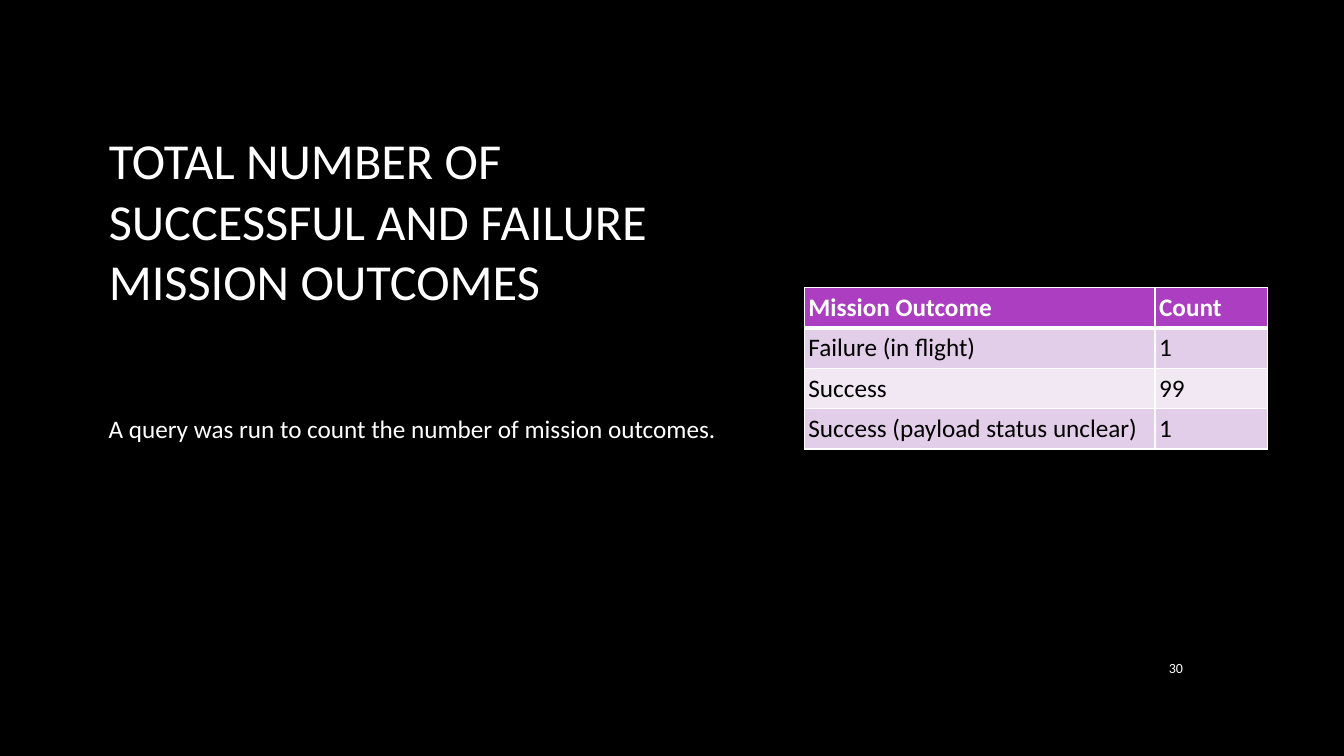
from lxml import etree
from pptx import Presentation
from pptx.dml.color import RGBColor
from pptx.enum import text
from pptx.oxml import ns
from pptx.util import Pt

WHITE, BLACK = "FFFFFF", "000000"
PURPLE, LILAC, PALE = "AC3EC1", "E3CEE9", "F1E8F4"


def rgb(hex_color):
    return RGBColor.from_string(hex_color)


class SlideBuilder:
    font_name = "Calibri"

    def __init__(self, deck):
        self.slide = deck.slides.add_slide(deck.slide_layouts[5])
        self.slide.background.fill.solid()
        self.slide.background.fill.fore_color.rgb = rgb(BLACK)

    def style(self, paragraph, size, color=WHITE, bold=False):
        font = paragraph.font
        font.name, font.size, font.bold = self.font_name, Pt(size), bold
        font.color.rgb = rgb(color)

    def fill_frame(self, frame, words, size, anchor, align):
        frame.word_wrap = True
        frame.auto_size = text.MSO_AUTO_SIZE.NONE
        frame.vertical_anchor = anchor
        frame.text = words
        paragraph = frame.paragraphs[0]
        paragraph.alignment = align
        self.style(paragraph, size)

    def title(self, words, left, top, width, height, size, bottom_inset):
        heading = self.slide.shapes.title
        heading.left, heading.top = Pt(left), Pt(top)
        heading.width, heading.height = Pt(width), Pt(height)
        self.fill_frame(heading.text_frame, words, size,
                        text.MSO_ANCHOR.BOTTOM, text.PP_ALIGN.LEFT)
        heading.text_frame.margin_bottom = Pt(bottom_inset)

    def label(self, words, left, top, width, height, size,
              align=text.PP_ALIGN.LEFT, space_after=0):
        box = self.slide.shapes.add_textbox(Pt(left), Pt(top), Pt(width), Pt(height))
        self.fill_frame(box.text_frame, words, size, text.MSO_ANCHOR.MIDDLE, align)
        box.text_frame.paragraphs[0].space_after = Pt(space_after)

    def borders(self, cell, top, bottom):
        """Draw white cell borders; top and bottom are widths in points."""
        properties = cell._tc.get_or_add_tcPr()
        sides = {"lnL": 1, "lnR": 1, "lnT": top, "lnB": bottom}
        for position, (side, width) in enumerate(sides.items()):
            line = etree.Element(ns.qn(f"a:{side}"), w=str(Pt(width)))
            paint = etree.SubElement(line, ns.qn("a:solidFill"))
            etree.SubElement(paint, ns.qn("a:srgbClr"), val=WHITE)
            properties.insert(position, line)

    def table(self, rows, left, top, column_widths, row_height, size, inset):
        grid = self.slide.shapes.add_table(
            len(rows), len(column_widths), Pt(left), Pt(top),
            Pt(sum(column_widths)), Pt(row_height * len(rows))).table
        for column, width in zip(grid.columns, column_widths):
            column.width = Pt(width)
        for r, values in enumerate(rows):
            grid.rows[r].height = Pt(row_height)
            header = r == 0
            shade = PURPLE if header else LILAC if r % 2 else PALE
            for c, value in enumerate(values):
                cell = grid.cell(r, c)
                cell.text = value
                cell.vertical_anchor = text.MSO_ANCHOR.MIDDLE
                cell.margin_left = cell.margin_right = Pt(inset)
                cell.margin_top = cell.margin_bottom = Pt(inset)
                cell.fill.solid()
                cell.fill.fore_color.rgb = rgb(shade)
                self.style(cell.text_frame.paragraphs[0], size,
                           WHITE if header else BLACK, header)
                self.borders(cell, 3 if r == 1 else 1, 3 if header else 1)


def main():
    deck = Presentation()
    deck.slide_width, deck.slide_height = Pt(960), Pt(540)
    builder = SlideBuilder(deck)
    builder.title("TOTAL NUMBER OF SUCCESSFUL AND FAILURE\vMISSION OUTCOMES",
                  70.5, 90, 409.5, 179.5, 36, bottom_inset=47.5)
    builder.label("A query was run to count the number of mission outcomes.",
                  70.5, 234, 469, 144, 18, space_after=10)
    builder.label("30", 808.5, 462, 43.5, 29.5, 10,
                  align=text.PP_ALIGN.RIGHT, space_after=6)
    outcomes = [("Mission Outcome", "Count"),
                ("Failure (in flight)", "1"),
                ("Success", "99"),
                ("Success (payload status unclear)", "1")]
    builder.table(outcomes, 574.5, 205.5, (250.5, 80.5), 28.8, 18, inset=3)
    deck.save("out.pptx")


if __name__ == "__main__":
    main()
